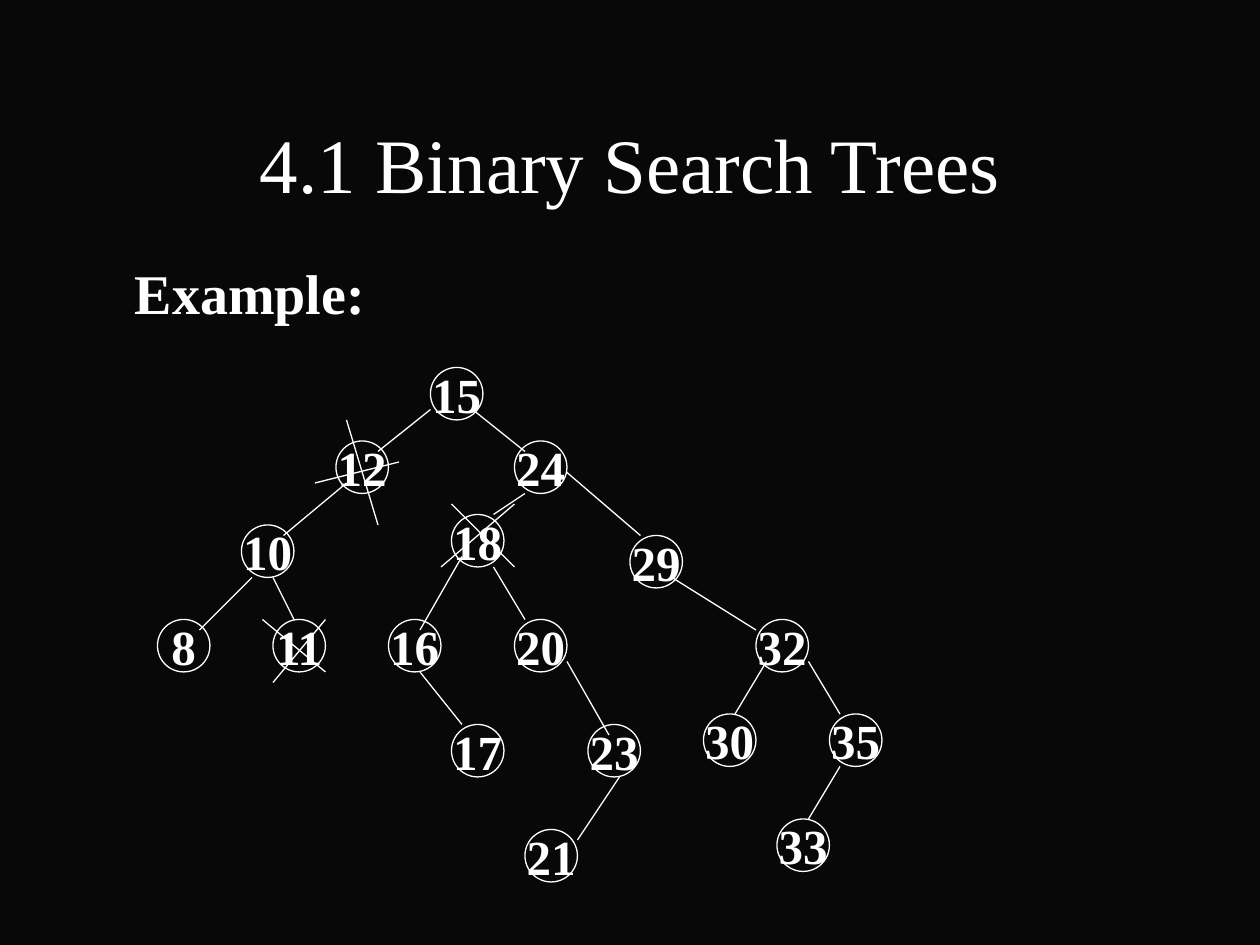
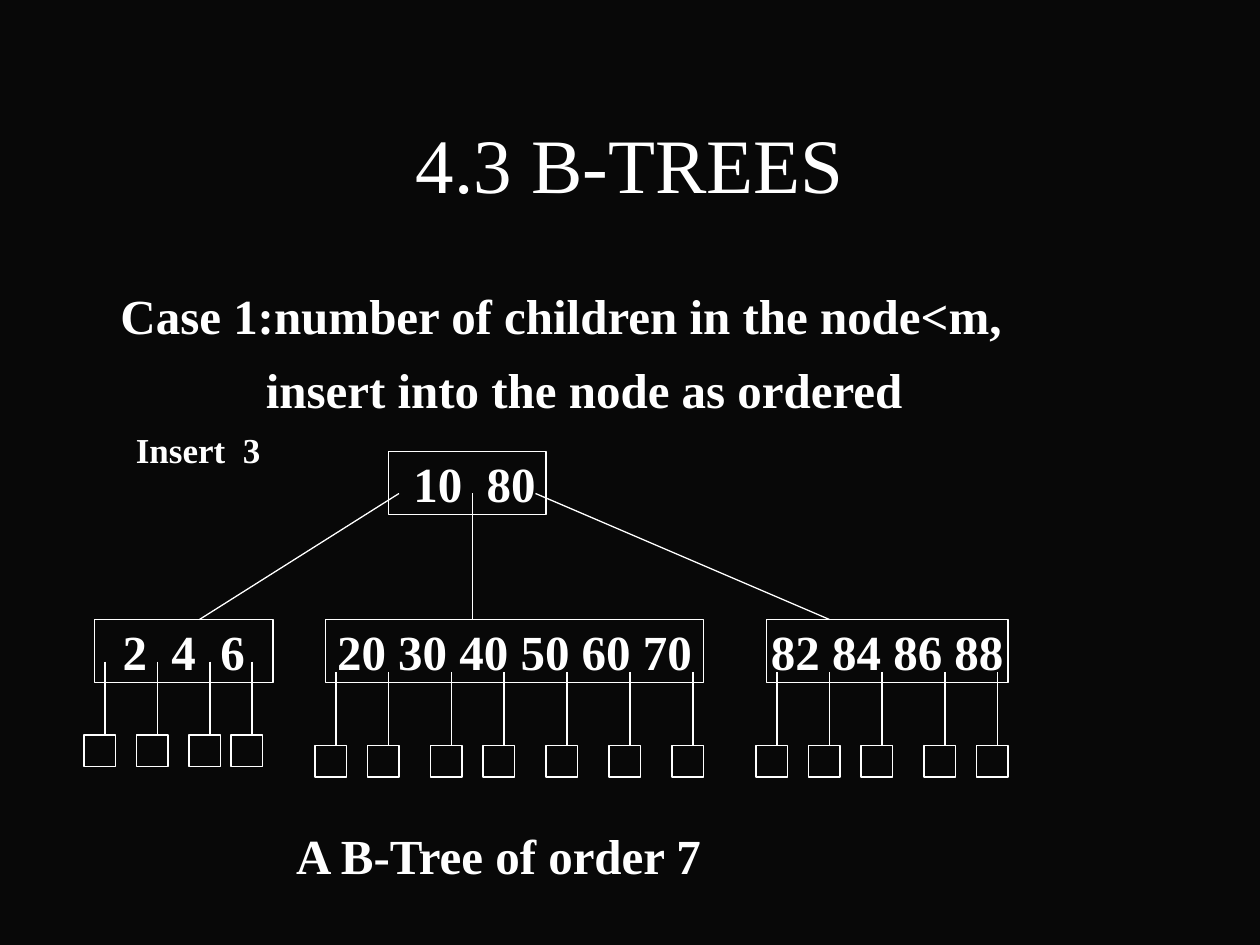
from lxml import etree
from pptx import Presentation
from pptx import util as u
from pptx.dml.color import RGBColor
from pptx.enum import shapes, text
from pptx.oxml import ns

FONT = "Times New Roman"
BACKGROUND = "080808"
INK = "FFFFFF"
LINE_WIDTH = u.Pt(0.75)
CIRCLE_SIZE = 5
LEAF_SIZE = 3
NODE_HEIGHT = 6
LEAF_LINE_LENGTH = 7

# Places in the diagrams are in grid steps, see grid().
BINARY_NODES = {
    15: (41, 35), 12: (32, 42), 24: (49, 42), 10: (23, 50), 8: (15, 59),
    11: (26, 59), 18: (43, 49), 16: (37, 59), 17: (43, 69), 20: (49, 59),
    29: (60, 51), 23: (56, 69), 21: (50, 79), 32: (72, 59), 30: (67, 68),
    35: (79, 68), 33: (74, 78),
}
BINARY_EDGES = [
    (41, 39, 36, 43), (33, 46, 27, 51), (24, 55, 19, 60), (26, 55, 28, 59),
    (45, 39, 50, 43), (50, 47, 47, 49), (44, 53, 40, 60), (40, 64, 44, 69),
    (54, 45, 61, 51), (64, 55, 72, 60), (77, 63, 80, 68), (47, 54, 50, 59),
    (54, 63, 58, 70), (59, 74, 55, 80), (73, 63, 70, 68), (80, 73, 77, 78),
]
DELETION_CROSSES = [
    (31, 59, 26, 65), (25, 59, 31, 64),
    (38, 44, 30, 46), (33, 40, 36, 50),
    (49, 48, 42, 54), (43, 48, 49, 54),
]
# Keys, left, width, top of the leaf lines, places of the leaf lines
B_TREE_CHILDREN = [
    ("2  4  6", 9, 17, 63, (10, 15, 20, 24)),
    ("20 30 40 50 60 70", 31, 36, 64, (32, 37, 43, 48, 54, 60, 66)),
    ("82 84 86 88", 73, 23, 64, (74, 79, 84, 90, 95)),
]
B_TREE_EDGES = [(38, 47, 19, 59), (45, 47, 45, 59), (51, 47, 79, 59)]


def grid(steps):
    """Length of a number of grid steps, twelve to the inch."""
    return u.Cm(steps * 2.54 / 12)


def color(hex_string):
    return RGBColor.from_string(hex_string)


def add_run(paragraph, words, size, bold=True):
    run = paragraph.add_run()
    run.text = words
    run.font.name = FONT
    run.font.size = u.Pt(size)
    run.font.bold = bold
    run.font.color.rgb = color(INK)


def indent(paragraph, length):
    paragraph._p.get_or_add_pPr().set("marL", str(length))


def add_text(slide, left, top, width, height, lines, size, bold=True,
             align=text.PP_ALIGN.LEFT, anchor=text.MSO_ANCHOR.TOP):
    """Text box with one paragraph for each (words, indent) in lines."""
    box = slide.shapes.add_textbox(u.Cm(left), u.Cm(top), u.Cm(width), u.Cm(height))
    frame = box.text_frame
    frame.word_wrap = True
    frame.vertical_anchor = anchor
    for index, (words, left_indent) in enumerate(lines):
        paragraph = frame.paragraphs[0] if index == 0 else frame.add_paragraph()
        paragraph.alignment = align
        if index:
            paragraph.space_before = u.Pt(9)
        indent(paragraph, u.Cm(left_indent))
        add_run(paragraph, words, size, bold)
    return frame


def add_outline(slide, kind, left, top, width, height):
    shape = slide.shapes.add_shape(kind, grid(left), grid(top), grid(width), grid(height))
    shape.shadow.inherit = False
    shape.fill.background()
    shape.line.color.rgb = color(INK)
    shape.line.width = LINE_WIDTH
    return shape


def add_node(slide, kind, left, top, width, height, keys, align=text.PP_ALIGN.CENTER):
    frame = add_outline(slide, kind, left, top, width, height).text_frame
    frame.word_wrap = False
    frame.vertical_anchor = text.MSO_ANCHOR.MIDDLE
    paragraph = frame.paragraphs[0]
    paragraph.alignment = align
    paragraph.space_before = u.Pt(7)
    add_run(paragraph, keys, 28)
    return paragraph


def add_line(slide, *ends):
    line = slide.shapes.add_connector(shapes.MSO_CONNECTOR.STRAIGHT, *map(grid, ends))
    line.line.color.rgb = color(INK)
    line.line.width = LINE_WIDTH
    etree.SubElement(line._element.spPr, ns.qn("a:effectLst"))


def add_leaf(slide, x, top):
    """Line down from a node, with an empty square at its end."""
    bottom = top + LEAF_LINE_LENGTH
    add_line(slide, x, top, x, bottom)
    add_outline(slide, shapes.MSO_SHAPE.RECTANGLE, x - 2, bottom, LEAF_SIZE, LEAF_SIZE)


def add_titled_slide(presentation, title):
    slide = presentation.slides.add_slide(presentation.slide_layouts[6])
    add_text(slide, 1.9, 1.69, 21.6, 3.18, [(title, 0)], 44, bold=False,
             align=text.PP_ALIGN.CENTER, anchor=text.MSO_ANCHOR.MIDDLE)
    return slide


def add_binary_tree_slide(presentation):
    slide = add_titled_slide(presentation, "4.1 Binary Search Trees")
    add_text(slide, 1.9, 5.08, 21.6, 12.7, [("Example:", 0.57)], 32)
    for key, (left, top) in BINARY_NODES.items():
        add_node(slide, shapes.MSO_SHAPE.OVAL, left, top, CIRCLE_SIZE, CIRCLE_SIZE, str(key))
    for ends in BINARY_EDGES + DELETION_CROSSES:
        add_line(slide, *ends)


def add_b_tree_slide(presentation):
    slide = add_titled_slide(presentation, "4.3 B-TREES")
    case = [("Case 1:number of children in the node<m,", 0.28),
            ("insert into the node as ordered", 3.21)]
    add_text(slide, 1.9, 5.5, 21.6, 11.43, case, 28).margin_top = u.Cm(0.25)

    rectangle = shapes.MSO_SHAPE.RECTANGLE
    root = add_node(slide, rectangle, 37, 43, 15, NODE_HEIGHT, "10  80", text.PP_ALIGN.LEFT)
    indent(root, u.Cm(0.25))
    for keys, left, width, leaf_top, leaves in B_TREE_CHILDREN:
        add_node(slide, rectangle, left, 59, width, NODE_HEIGHT, keys)
        for x in leaves:
            add_leaf(slide, x, leaf_top)
    for ends in B_TREE_EDGES:
        add_line(slide, *ends)

    add_text(slide, 5.72, 16.51, 11.79, 1.45, [("A B-Tree of order 7", 0)], 28)
    add_text(slide, 2.49, 8.51, 3.02, 1.12, [("Insert  3", 0)], 20).word_wrap = False


def main():
    presentation = Presentation()
    presentation.slide_width = u.Cm(25.4)
    presentation.slide_height = u.Cm(19.05)
    background = presentation.slide_master.background.fill
    background.solid()
    background.fore_color.rgb = color(BACKGROUND)
    add_binary_tree_slide(presentation)
    add_b_tree_slide(presentation)
    presentation.save("out.pptx")


if __name__ == "__main__":
    main()
